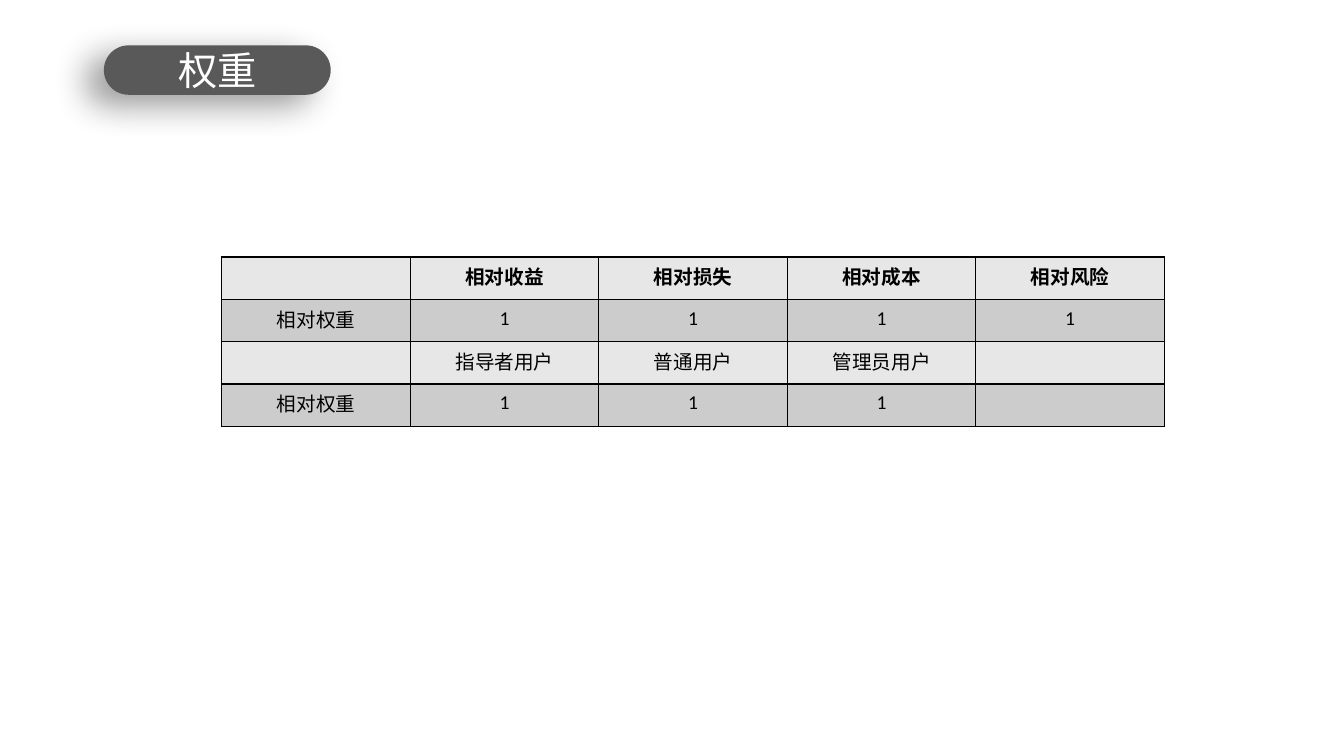
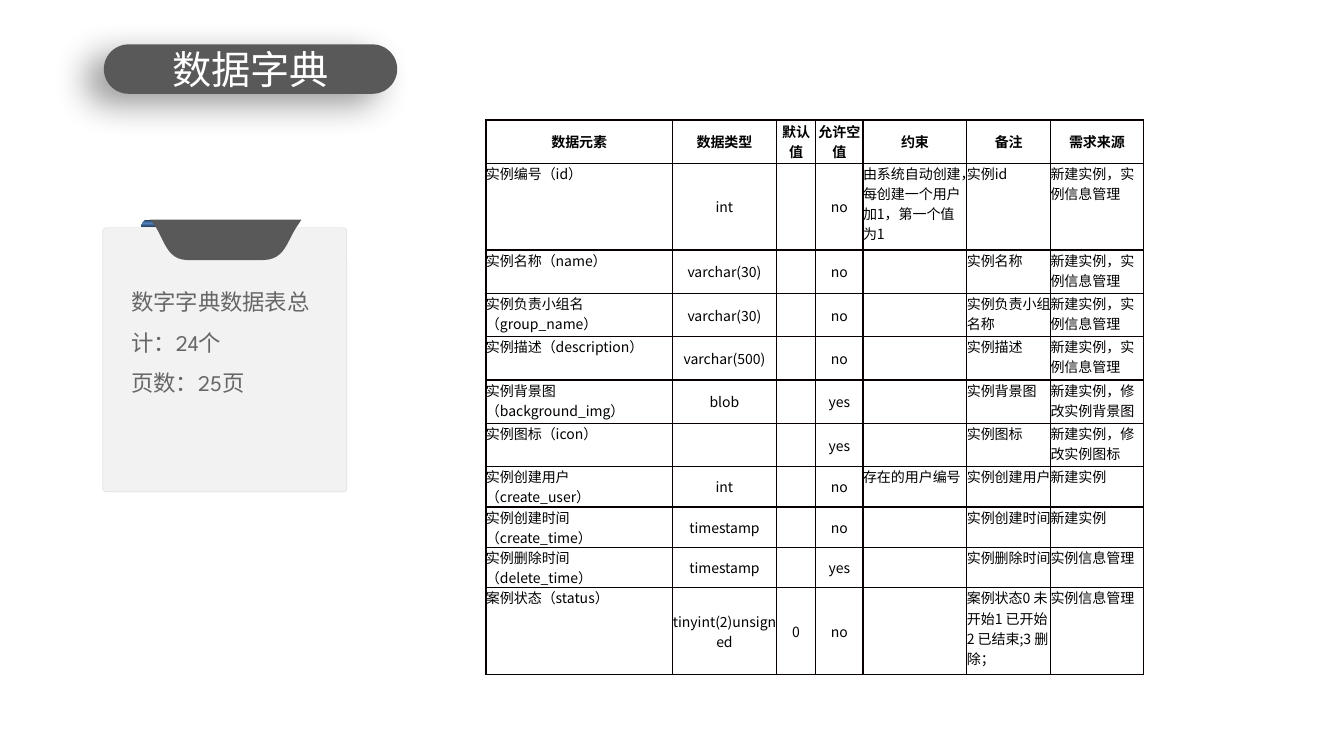
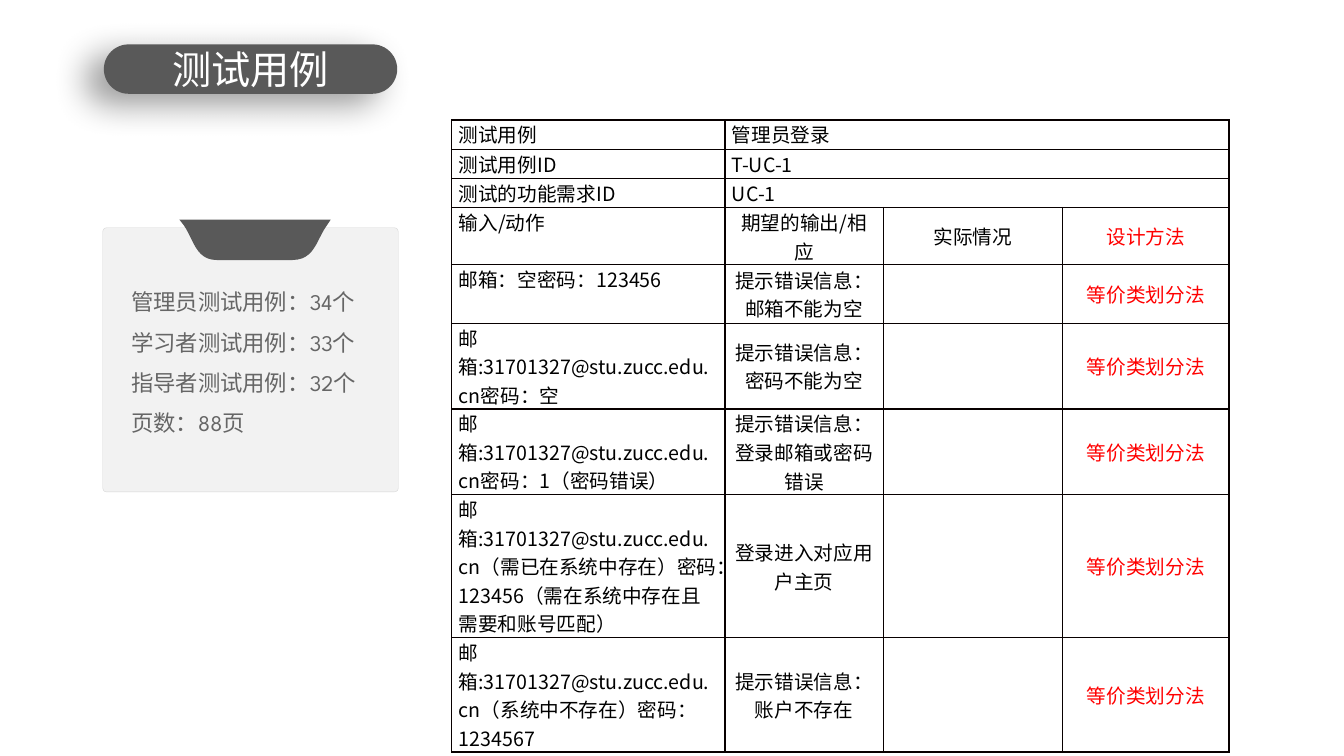
from copy import deepcopy
from dataclasses import dataclass, replace

from lxml import etree
from pptx import Presentation
from pptx import util as u
from pptx.dml.color import RGBColor
from pptx.enum import shapes, text
from pptx.oxml import ns

PX = 9144
DARK, PANEL, EDGE, GREY = "595959", "F2F2F2", "D5D5D5", "666666"
BLACK, WHITE, RED = "000000", "FFFFFF", "FF0000"
LIGHT_ROW, DARK_ROW = "E7E7E7", "CCCCCC"
NAVY, BLUE = "244061", "4F81BD"
LATIN, CARD_FONT, CJK = "Calibri", "League Spartan", "Noto Sans CJK SC"
CENTER, LEFT = text.PP_ALIGN.CENTER, text.PP_ALIGN.LEFT
TITLE_ONLY, TITLE_AND_BODY = 5, 1


@dataclass(frozen=True)
class CellStyle:
    """Look of one table cell; insets run left, top, right, bottom."""
    size: int
    font: str = CJK
    color: str = BLACK
    bold: bool = False
    centered: bool = True
    fill: str = ""
    insets: tuple = (0, 0, 0, 0)


def px(*lengths):
    """Turn whole px into EMU."""
    return [u.Emu(round(length * PX)) for length in lengths]


def rgb(color):
    """Turn a hex string into a colour."""
    return RGBColor.from_string(color)


def add_xml(parent, tag, index=None, **attributes):
    """Add one drawing element to a parent, at an index if given."""
    element = etree.Element(ns.qn(f"a:{tag}"), attributes)
    parent.insert(len(parent) if index is None else index, element)
    return element


def format_paragraph(paragraph, font, size, color, align=LEFT, bold=False):
    """Set the alignment and font of a whole paragraph."""
    paragraph.alignment = align
    paragraph.font.size = u.Pt(size)
    paragraph.font.bold = bold
    paragraph.font.color.rgb = rgb(color)
    paragraph.font.name = font
    defaults = paragraph._p.pPr.find(ns.qn("a:defRPr"))
    add_xml(defaults, "ea", typeface=CJK)


def place(placeholder, box):
    """Bring a placeholder to the front and fit it to a box."""
    placeholder.left, placeholder.top, placeholder.width, placeholder.height = px(*box)
    element = placeholder._element
    element.getparent().append(element)
    frame = placeholder.text_frame
    frame.auto_size = text.MSO_AUTO_SIZE.NONE
    frame.word_wrap = True
    return frame


def add_round_box(slide, box, radius, fill, line=None):
    """Add a plain rounded rectangle."""
    shape = slide.shapes.add_shape(shapes.MSO_SHAPE.ROUNDED_RECTANGLE, *px(*box))
    shape.adjustments[0] = radius
    shape.shadow.inherit = False
    shape.fill.solid()
    shape.fill.fore_color.rgb = rgb(fill)
    if line:
        shape.line.color.rgb = rgb(line)
        shape.line.width = u.Pt(0.25)
    else:
        shape.line.fill.background()
    return shape


def add_title(slide, title, width, top=44):
    """Add the title pill, with its soft shadow, and the title on it."""
    box = (103, top, width, 49)
    pill = add_round_box(slide, box, 0.5, DARK)
    effects = pill._element.spPr.find(ns.qn("a:effectLst"))
    shadow = add_xml(effects, "outerShdw", blurRad=str(u.Pt(25)), dist=str(u.Pt(15)),
                     dir=str(150 * 60000), algn="ctr", rotWithShape="0")
    add_xml(add_xml(shadow, "srgbClr", val=BLACK), "alpha", val="40000")
    frame = place(slide.shapes.title, box)
    frame.vertical_anchor = text.MSO_ANCHOR.MIDDLE
    frame.text = title
    format_paragraph(frame.paragraphs[0], LATIN, 28, WHITE, CENTER)


def curve(start, first, second, end, steps=12):
    """Return the points of a cubic curve."""
    points = []
    for step in range(steps + 1):
        t = step / steps
        weights = ((1 - t) ** 3, 3 * t * (1 - t) ** 2, 3 * t * t * (1 - t), t ** 3)
        corners = (start, first, second, end)
        points.append(tuple(sum(w * c[axis] for w, c in zip(weights, corners))
                            for axis in (0, 1)))
    return points


def add_outline(slide, left, top, points):
    """Add a closed outline whose points are relative to left and top."""
    corners = [px(left + x, top + y) for x, y in points]
    builder = slide.shapes.build_freeform(*corners[0], scale=1.0)
    builder.add_line_segments(corners[1:], close=True)
    shape = builder.convert_to_shape()
    shape.shadow.inherit = False
    shape.line.fill.background()
    return shape


def add_clip(slide, left, top):
    """Add the dark clip that holds a card."""
    points = [(0, 0), (150, 0),
              *curve((146, 6), (136, 20), (134, 40), (112, 40)),
              *curve((37, 40), (16, 40), (14, 19), (4, 5))]
    clip = add_outline(slide, left, top, points)
    clip.fill.solid()
    clip.fill.fore_color.rgb = rgb(DARK)


def add_clip_fold(slide, left, top):
    """Add the small blue fold behind a clip."""
    points = [*curve((12, 0), (15, 1), (17, 4), (18, 7)),
              *curve((0, 7), (1, 4), (3, 1), (6, 0))]
    fill = add_outline(slide, left, top, points).fill
    fill.gradient()
    fill.gradient_angle = 90
    stops = slide.shapes[-1]._element.spPr.find(".//" + ns.qn("a:gsLst"))
    stops.append(deepcopy(stops[0]))
    for stop, color, position in zip(fill.gradient_stops, (NAVY, BLUE, NAVY), (0, 0.48, 1)):
        stop.color.rgb = rgb(color)
        stop.position = position


def add_card(slide, width, clip_offset, lines, folded=False):
    """Add the clipped card and its lines of text."""
    left, top = 102, 226
    add_round_box(slide, (left, top, width, 262), 0.014, PANEL, EDGE)
    if folded:
        add_clip_fold(slide, left + clip_offset - 9, top - 8)
    add_clip(slide, left + clip_offset, top - 8)
    frame = place(slide.placeholders[1], (left + 18, top + 42, width - 28, 201))
    frame.text = "\n".join(lines)
    for paragraph in frame.paragraphs:
        properties = paragraph._p.get_or_add_pPr()
        properties.set("marL", "0")
        properties.set("indent", "0")
        add_xml(properties, "buNone")
        paragraph.line_spacing = 1.5
        paragraph.space_before = u.Pt(0)
        format_paragraph(paragraph, CARD_FONT, 16, GREY)


def format_cell(cell, style, border):
    """Apply a style and four thin borders to a cell."""
    cell.margin_left, cell.margin_top, cell.margin_right, cell.margin_bottom = px(*style.insets)
    cell.vertical_anchor = text.MSO_ANCHOR.MIDDLE if style.centered else text.MSO_ANCHOR.TOP
    if style.fill:
        cell.fill.solid()
        cell.fill.fore_color.rgb = rgb(style.fill)
    else:
        cell.fill.background()
    properties = cell._tc.get_or_add_tcPr()
    for index, tag in enumerate(("lnL", "lnR", "lnT", "lnB")):
        line = add_xml(properties, tag, index, w=str(u.Pt(1)))
        add_xml(add_xml(line, "solidFill"), "srgbClr", val=border)
    format_paragraph(cell.text_frame.paragraphs[0], style.font, style.size, style.color,
                     CENTER if style.centered else LEFT, style.bold)


def add_grid(slide, left, top, widths, heights, rows, style_of, border="080000"):
    """Add a table; the last cell of a short row spans to the right edge."""
    box = px(left, top, sum(widths), sum(heights))
    table = slide.shapes.add_table(len(heights), len(widths), *box).table
    table.first_row = table.horz_banding = False
    for column, width in zip(table.columns, px(*widths)):
        column.width = width
    for row, height in zip(table.rows, px(*heights)):
        row.height = height
    for r, values in enumerate(rows):
        for c in range(len(widths)):
            cell = table.cell(r, c)
            cell.text = values[c] if c < len(values) else ""
            format_cell(cell, style_of(r, c), border)
        if len(values) < len(widths):
            table.cell(r, len(values) - 1).merge(table.cell(r, len(widths) - 1))


def weight_style(row, column):
    """Style the weight table: bold head, alternating greys."""
    return CellStyle(14, LATIN, bold=row == 0, fill=DARK_ROW if row % 2 else LIGHT_ROW,
                     insets=(1, 1, 1, 5))


def dictionary_style(row, column):
    """Style the data dictionary: bold head, centred type columns."""
    return CellStyle(10, bold=row == 0, centered=row == 0 or column in (1, 2, 3))


def test_case_style(row, column):
    """Style the test case: left labels, centred results, red methods."""
    style = CellStyle(14, centered=row > 2 and column > 0, insets=(7, 0, 7, 0))
    return replace(style, color=RED) if row > 2 and column == 3 else style


def build_weights(presentation):
    """Build the slide of relative weights."""
    slide = presentation.slides.add_slide(presentation.slide_layouts[TITLE_ONLY])
    add_title(slide, "权重", 225, top=45)
    rows = [
        ("", "相对收益", "相对损失", "相对成本", "相对风险"),
        ("相对权重", "1", "1", "1", "1"),
        ("", "指导者用户", "普通用户", "管理员用户", ""),
        ("相对权重", "1", "1", "1", ""),
    ]
    add_grid(slide, 220, 255, [187] * 5, [42] * 4, rows, weight_style, BLACK)


def build_dictionary(presentation):
    """Build the data dictionary slide."""
    slide = presentation.slides.add_slide(presentation.slide_layouts[TITLE_AND_BODY])
    add_title(slide, "数据字典", 291)
    add_card(slide, 242, 47, ["数字字典数据表总计：24个", "页数：25页"], folded=True)
    manage = "实例信息管理"
    create = "新建实例"
    both = f"{create}，{manage}"
    rows = [
        ("数据元素", "数据类型", "默认值", "允许空值", "约束", "备注", "需求来源"),
        ("实例编号（id）", "int", "", "no", "由系统自动创建，每创建一个用户加1，第一个值为1",
         "实例id", both),
        ("实例名称（name）", "varchar(30)", "", "no", "", "实例名称", both),
        ("实例负责小组名（group_name）", "varchar(30)", "", "no", "", "实例负责小组名称", both),
        ("实例描述（description）", "varchar(500)", "", "no", "", "实例描述", both),
        ("实例背景图（background_img）", "blob", "", "yes", "", "实例背景图",
         "新建实例，修改实例背景图"),
        ("实例图标（icon）", "", "", "yes", "", "实例图标", "新建实例，修改实例图标"),
        ("实例创建用户（create_user）", "int", "", "no", "存在的用户编号", "实例创建用户", create),
        ("实例创建时间（create_time）", "timestamp", "", "no", "", "实例创建时间", create),
        ("实例删除时间（delete_time）", "timestamp", "", "yes", "", "实例删除时间", manage),
        ("案例状态（status）", "tinyint(2)unsigned", "0", "no", "",
         "案例状态0 未开始1 已开始2 已结束;3 删除；", manage),
    ]
    add_grid(slide, 482, 119, [185, 103, 39, 47, 103, 83, 92],
             [43, 86] + [43] * 5 + [21] * 3 + [86], rows, dictionary_style)


def build_test_case(presentation):
    """Build the test case slide."""
    slide = presentation.slides.add_slide(presentation.slide_layouts[TITLE_AND_BODY])
    add_title(slide, "测试用例", 291)
    mail = "邮箱:31701327@stu.zucc.edu.cn"
    method = "等价类划分法"
    rows = [
        ("测试用例", "管理员登录"),
        ("测试用例ID", "T-UC-1"),
        ("测试的功能需求ID", "UC-1"),
        ("输入/动作", "期望的输出/相应", "实际情况", "设计方法"),
        ("邮箱：空密码：123456", "提示错误信息：邮箱不能为空", "", method),
        (f"{mail}密码：空", "提示错误信息：密码不能为空", "", method),
        (f"{mail}密码：1（密码错误）", "提示错误信息：登录邮箱或密码错误", "", method),
        (f"{mail}（需已在系统中存在）密码：123456（需在系统中存在且需要和账号匹配）",
         "登录进入对应用户主页", "", method),
        (f"{mail}（系统中不存在）密码：1234567", "提示错误信息：账户不存在", "", method),
    ]
    add_grid(slide, 448, 119, [271, 157, 178, 165],
             [29, 29, 29, 47, 58, 70, 70, 117, 94], rows, test_case_style)
    add_card(slide, 293, 76, ["管理员测试用例：34个", "学习者测试用例：33个",
                              "指导者测试用例：32个", "页数：88页"])


def main():
    """Build and save the presentation."""
    presentation = Presentation()
    presentation.slide_width, presentation.slide_height = px(1333, 750)
    build_weights(presentation)
    build_dictionary(presentation)
    build_test_case(presentation)
    presentation.save("out.pptx")


if __name__ == "__main__":
    main()
